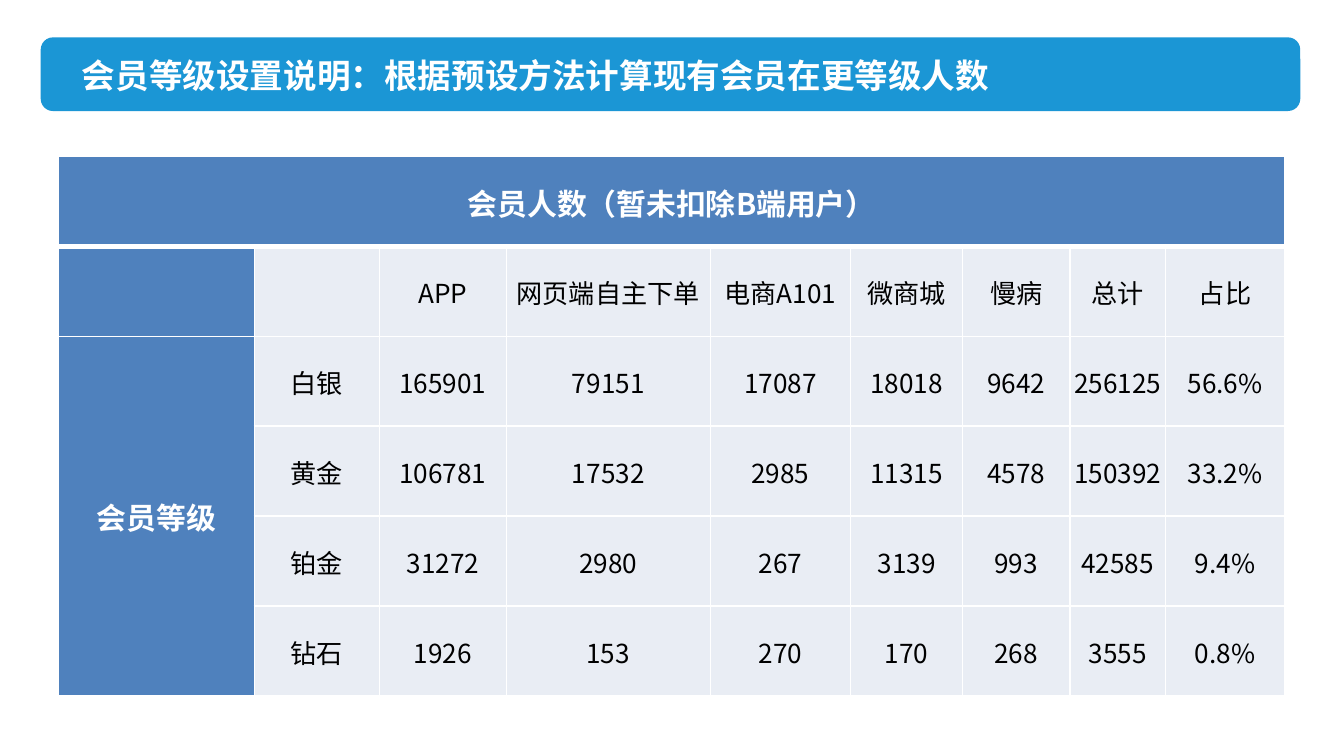
from lxml import etree
from pptx import Presentation
from pptx.dml.color import RGBColor
from pptx.enum import shapes, text
from pptx.oxml import ns
from pptx.util import Pt

TITLE = "会员等级设置说明：根据预设方法计算现有会员在更等级人数"
TABLE_HEADING = "会员人数（暂未扣除B端用户）"
ROW_HEADING = "会员等级"
ROWS = [
    ("", "APP", "网页端自主下单", "电商A101", "微商城", "慢病", "总计", "占比"),
    ("白银", "165901", "79151", "17087", "18018", "9642", "256125", "56.6%"),
    ("黄金", "106781", "17532", "2985", "11315", "4578", "150392", "33.2%"),
    ("铂金", "31272", "2980", "267", "3139", "993", "42585", "9.4%"),
    ("钻石", "1926", "153", "270", "170", "268", "3555", "0.8%"),
]
GRID = [(TABLE_HEADING,) + ("",) * 8]
GRID += [(ROW_HEADING if i == 1 else "",) + row for i, row in enumerate(ROWS)]

COL_WIDTHS = [105, 67, 68, 109.3, 75.2, 60, 57.5, 51.2, 64]
ROW_HEIGHT = 48.2

FONT = "Noto Sans CJK SC"
WHITE = RGBColor(0xFF, 0xFF, 0xFF)
BLACK = RGBColor(0, 0, 0)
BANNER_BLUE = RGBColor(0x1B, 0x96, 0xD5)
HEADER_BLUE = RGBColor(0x4F, 0x81, 0xBD)
BODY_GREY = RGBColor(0xE9, 0xED, 0xF4)


def write(tf, content, size, color, bold, align):
    p = tf.paragraphs[0]
    p.alignment = align
    r = p.add_run()
    r.text = content
    for name, value in dict(size=Pt(size), bold=bold, name=FONT).items():
        setattr(r.font, name, value)
    r.font.color.rgb = color
    etree.SubElement(r.font._element, ns.qn("a:ea"), typeface=FONT)


def set_borders(cell, widths):
    """Draw white borders; widths are in points, for left, right, top, bottom."""
    tc_pr = cell._tc.get_or_add_tcPr()
    for i, (side, width) in enumerate(zip("LRTB", widths)):
        ln = etree.Element(ns.qn(f"a:ln{side}"), w=str(Pt(width)))
        fill = etree.SubElement(ln, ns.qn("a:solidFill"))
        etree.SubElement(fill, ns.qn("a:srgbClr"), val=str(WHITE))
        tc_pr.insert(i, ln)


def add_banner(s):
    banner = s.shapes.add_shape(
        shapes.MSO_SHAPE.ROUNDED_RECTANGLE, Pt(21.8), Pt(20), Pt(674.8), Pt(39.5))
    banner.shadow.inherit = False
    banner.fill.solid()
    banner.fill.fore_color.rgb = BANNER_BLUE
    banner.line.fill.background()

    title = s.shapes.title
    banner._element.addnext(title._element)  # title in front of the banner
    box = dict(left=Pt(36.7), top=Pt(26), width=Pt(505), height=Pt(29))
    for name, value in box.items():
        setattr(title, name, value)
    tf = title.text_frame
    tf.word_wrap = True
    tf.auto_size = text.MSO_AUTO_SIZE.NONE
    tf.vertical_anchor = text.MSO_ANCHOR.MIDDLE
    write(tf, TITLE, 18, WHITE, True, text.PP_ALIGN.LEFT)


def add_member_table(s):
    table = s.shapes.add_table(
        len(GRID), len(COL_WIDTHS), Pt(31.3), Pt(83.8),
        Pt(sum(COL_WIDTHS)), Pt(ROW_HEIGHT * len(GRID))).table
    for column, width in zip(table.columns, COL_WIDTHS):
        column.width = Pt(width)
    for row in table.rows:
        row.height = Pt(ROW_HEIGHT)
    table.cell(0, 0).merge(table.cell(0, len(COL_WIDTHS) - 1))
    table.cell(2, 0).merge(table.cell(len(GRID) - 1, 0))

    cell_format = dict(margin_left=Pt(0.7), margin_right=Pt(0.7), margin_top=Pt(0.7),
                       margin_bottom=0, vertical_anchor=text.MSO_ANCHOR.MIDDLE)
    for i, row in enumerate(GRID):
        for j, content in enumerate(row):
            cell = table.cell(i, j)
            heading = i == 0 or j == 0
            for name, value in cell_format.items():
                setattr(cell, name, value)
            cell.fill.solid()
            cell.fill.fore_color.rgb = HEADER_BLUE if heading else BODY_GREY
            set_borders(cell, (1, 1, 3 if i == 1 else 1, 3 if i == 0 else 1))
            if content:
                write(cell.text_frame, content, 16 if heading else 14,
                      WHITE if heading else BLACK, heading, text.PP_ALIGN.CENTER)


def main():
    prs = Presentation()
    prs.slide_width, prs.slide_height = Pt(720), Pt(405)
    s = prs.slides.add_slide(prs.slide_layouts[5])
    add_banner(s)
    add_member_table(s)
    prs.save("out.pptx")


if __name__ == "__main__":
    main()
